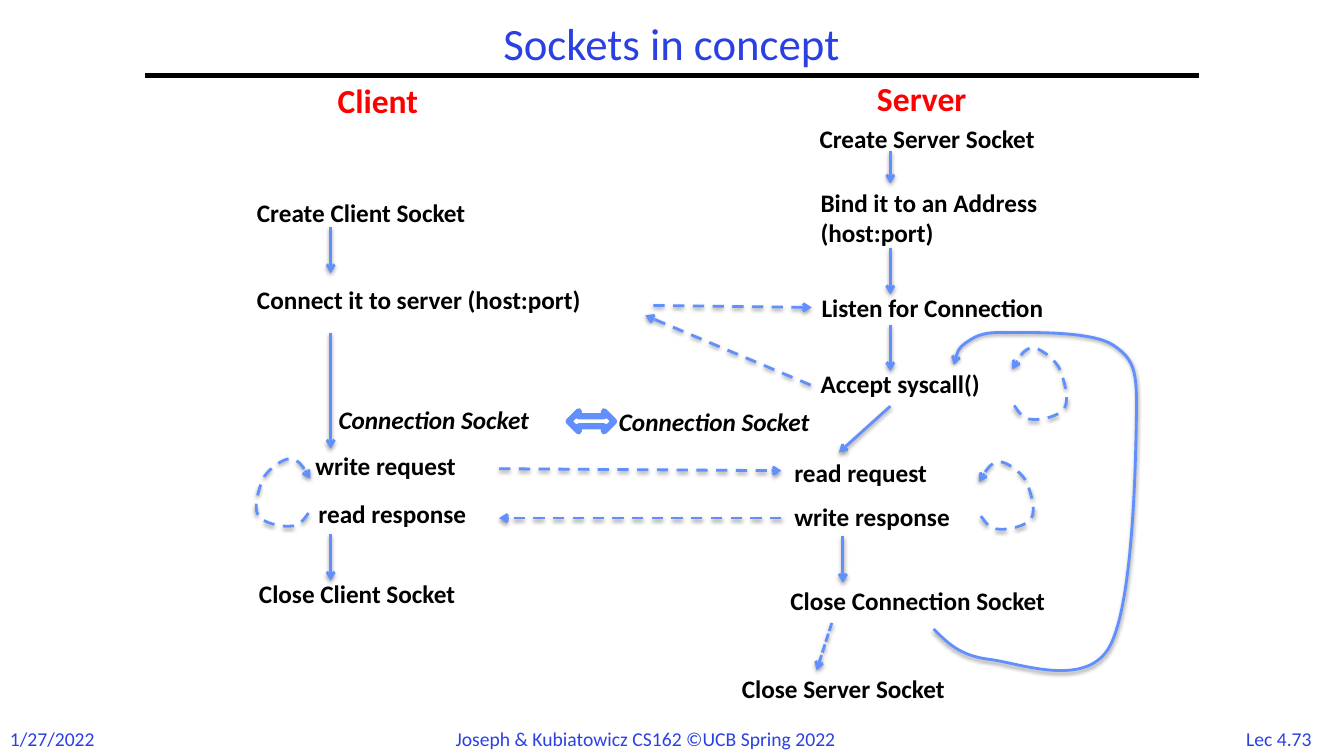
"""Build the slide "Sockets in concept": a client and server socket flow."""
from pptx import Presentation, oxml, util as u
from pptx.dml.color import RGBColor
from pptx.enum import dml, shapes, text

BLUE, RED, BLACK, SKY = "2A40E2", "FF0000", "000000", "618FFD"
SOLID, DASH, DOTS = None, dml.MSO_LINE.DASH, dml.MSO_LINE.SQUARE_DOT
qn = oxml.ns.qn
hue = RGBColor.from_string
SHADE = (
    f'<a:effectLst {oxml.ns.nsdecls("a")}>'
    '<a:outerShdw blurRad="39370" dist="20320" dir="5400000" rotWithShape="0">'
    '<a:srgbClr val="000000"><a:alpha val="38000"/></a:srgbClr>'
    '</a:outerShdw></a:effectLst>'
)


def write(words, box, size=18, color=BLACK, bold=True, slant=False, align=None):
    """Add a text box that does not wrap."""
    frame = slide.shapes.add_textbox(*map(u.Inches, box)).text_frame
    frame.word_wrap = False
    frame.auto_size = text.MSO_AUTO_SIZE.SHAPE_TO_FIT_TEXT
    frame.text = words
    for para in frame.paragraphs:
        para.alignment = align
        font = para.font
        font.name, font.size, font.bold, font.italic = "Calibri", u.Pt(size), bold, slant
        font.color.rgb = hue(color)


def ink(shape, dash):
    """Give a line or curve its stroke, arrowhead and shadow."""
    shape.line.color.rgb = hue(SKY)
    shape.line.width = u.Pt(2)
    if dash:
        shape.line.dash_style = dash
    props = shape.element.spPr
    head = props.find(qn("a:ln")).makeelement(qn("a:tailEnd"), {"type": "arrow"})
    props.find(qn("a:ln")).append(head)
    props.append(oxml.parse_xml(SHADE))


deck = Presentation()
deck.slide_width, deck.slide_height = u.Inches(13.33), u.Inches(7.5)
slide = deck.slides.add_slide(deck.slide_layouts[5])

title = slide.shapes.title
title.left, title.top, title.width, title.height = map(u.Inches, (1.44, 0.17, 10.44, 0.58))
title.text_frame.text = "Sockets in concept"
title.text_frame.auto_size = text.MSO_AUTO_SIZE.NONE
title.text_frame.vertical_anchor = text.MSO_ANCHOR.MIDDLE
para = title.text_frame.paragraphs[0]
para.alignment, para.line_spacing = text.PP_ALIGN.CENTER, 0.9
para.font.name, para.font.size = "Calibri", u.Pt(32)
para.font.color.rgb = hue(BLUE)

rule = slide.shapes.add_connector(
    shapes.MSO_CONNECTOR.STRAIGHT, *map(u.Inches, (1.44, 0.75, 11.89, 0.75)))
rule.line.color.rgb, rule.line.width = hue(BLACK), u.Pt(3)
rule.element.spPr.append(rule.element.makeelement(qn("a:effectLst")))

for words, left, width, align in (
    ("1/27/2022", 0, 1.07, None),
    ("Joseph & Kubiatowicz CS162 ©UCB Spring 2022", 4.42, 4.5, None),
    ("Lec 4.73", 12.2, 0.97, text.PP_ALIGN.CENTER),
):
    write(words, (left, 7.16, width, 0.34), 14, BLUE, False, align=align)

write("Client", (3.25, 0.74, 1.14, 0.5), 24, RED)
write("Server", (8.6, 0.72, 1.3, 0.5), 24, RED)

for words, left, top, width in (
    ("Create Client Socket", 2.45, 1.91, 2.66),
    ("Connect it to server (host:port)", 2.45, 2.77, 3.92),
    ("write request", 3.03, 4.42, 1.77),
    ("read response", 3.06, 4.89, 1.91),
    ("Close Client Socket", 2.47, 5.69, 2.57),
    ("Create Server Socket", 8.03, 1.17, 2.74),
    ("Listen for Connection", 8.05, 2.85, 2.8),
    ("Accept syscall()", 8.04, 3.61, 2.13),
    ("read request", 7.78, 4.49, 1.77),
    ("write response", 7.78, 4.92, 1.99),
    ("Close Connection Socket", 7.74, 5.76, 3.25),
    ("Close Server Socket", 7.26, 6.63, 2.7),
):
    write(words, (left, top, width, 0.4))
write("Bind it to an Address\n(host:port)", (8.04, 1.81, 2.8, 0.71))
for left, top in (3.26, 3.96), (6.04, 3.98):
    write("Connection Socket", (left, top, 2.49, 0.4), slant=True)

for dash, *ends in (
    (SOLID, 3.28, 2.25, 3.28, 2.71),
    (SOLID, 3.28, 3.3, 3.28, 4.45),
    (SOLID, 3.28, 5.3, 3.28, 5.76),
    (SOLID, 8.83, 1.5, 8.83, 1.82),
    (SOLID, 8.83, 2.46, 8.83, 2.92),
    (SOLID, 8.83, 3.22, 8.83, 3.68),
    (SOLID, 8.83, 4.03, 8.32, 4.49),
    (SOLID, 8.36, 5.32, 8.36, 5.78),
    (DOTS, 8.25, 6.18, 8.1, 6.65),
    (DASH, 6.48, 3.03, 8.05, 3.05),
    (DASH, 8.04, 3.82, 6.4, 3.13),
    (DASH, 4.95, 4.65, 7.75, 4.67),
    (DASH, 7.75, 5.14, 4.95, 5.14),
):
    ink(slide.shapes.add_connector(
        shapes.MSO_CONNECTOR.STRAIGHT, *map(u.Inches, ends)), dash)

swap = slide.shapes.add_shape(
    shapes.MSO_SHAPE.LEFT_RIGHT_ARROW, *map(u.Inches, (5.64, 4.08, 0.45, 0.2)))
swap.shadow.inherit = False
swap.fill.solid()
swap.fill.fore_color.rgb = hue("FFFFFF")
swap.line.color.rgb, swap.line.width = hue(SKY), u.Pt(4.5)

loop = [(0.02, 0.54), (0.07, 0.61), (0.11, 0.67), (0.2, 0.67), (0.28, 0.68),
        (0.48, 0.64), (0.52, 0.56), (0.57, 0.48), (0.51, 0.28), (0.46, 0.18),
        (0.4, 0.09), (0.27, 0), (0.2, 0), (0.12, 0.01), (0.06, 0.1), (0, 0.2)]
back = [(9.26, 6.24), (9.39, 6.37), (9.51, 6.5), (9.8, 6.54), (10.09, 6.57),
        (10.74, 6.83), (10.99, 6.44), (11.23, 6.06), (11.26, 4.71), (11.27, 4.21),
        (11.28, 3.71), (11.27, 3.58), (11.05, 3.43), (10.84, 3.28), (10.21, 3.3),
        (9.97, 3.3), (9.72, 3.29), (9.66, 3.35), (9.58, 3.4), (9.5, 3.46),
        (9.48, 3.54), (9.46, 3.62)]
curves = [(back, SOLID)]
for x, y, side, tall in (9.71, 4.58, 1, 1), (3.08, 4.55, -1, 1), (10.04, 3.45, 1, 1.06):
    curves.append(([(x + side * a, y + tall * b) for a, b in loop], DASH))

for points, dash in curves:
    start, *rest = [(u.Inches(x), u.Inches(y)) for x, y in points]
    pen = slide.shapes.build_freeform(*start)
    pen.add_line_segments(rest, close=False)
    curve = pen.convert_to_shape()
    curve.fill.background()
    track = next(curve.element.iter(qn("a:path")))
    steps = track.findall(qn("a:lnTo"))
    for i in range(0, len(steps), 3):
        bend = track.makeelement(qn("a:cubicBezTo"))
        for step in steps[i:i + 3]:
            bend.append(step[0])
            track.remove(step)
        track.append(bend)
    ink(curve, dash)

deck.save("out.pptx")
